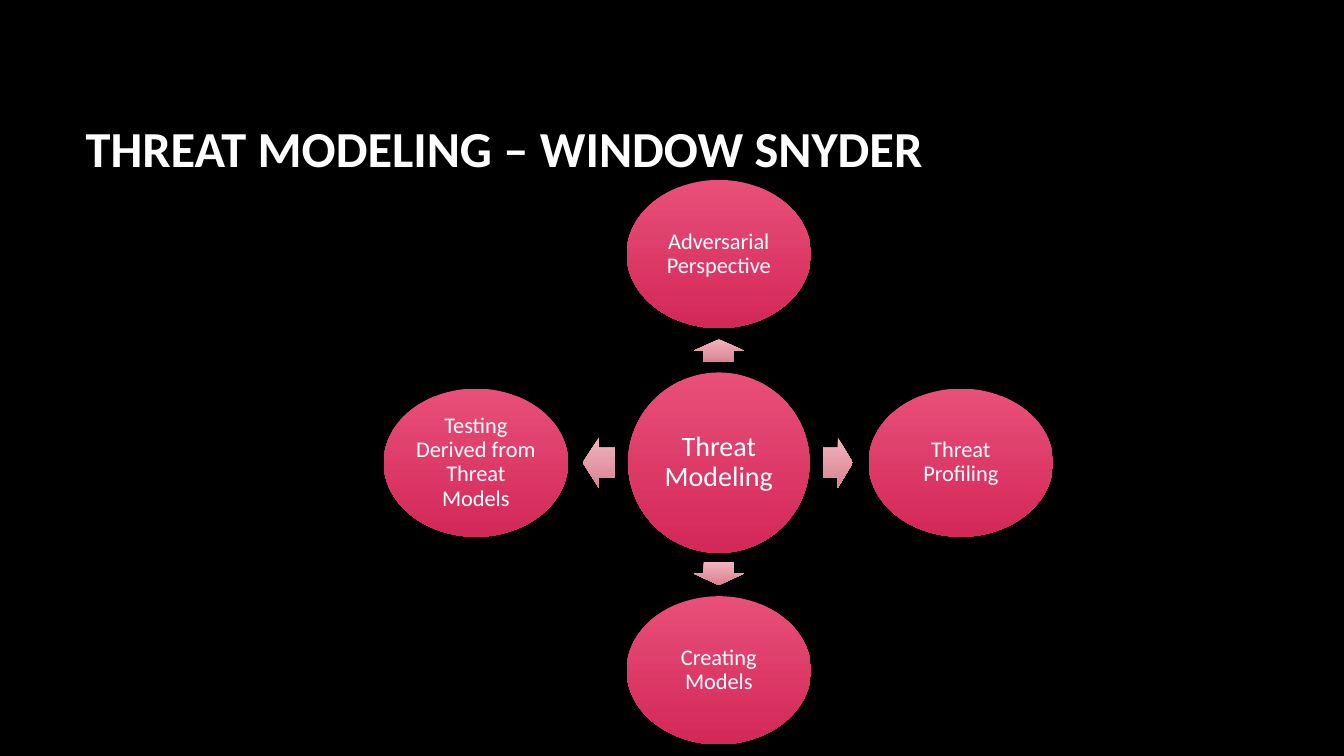
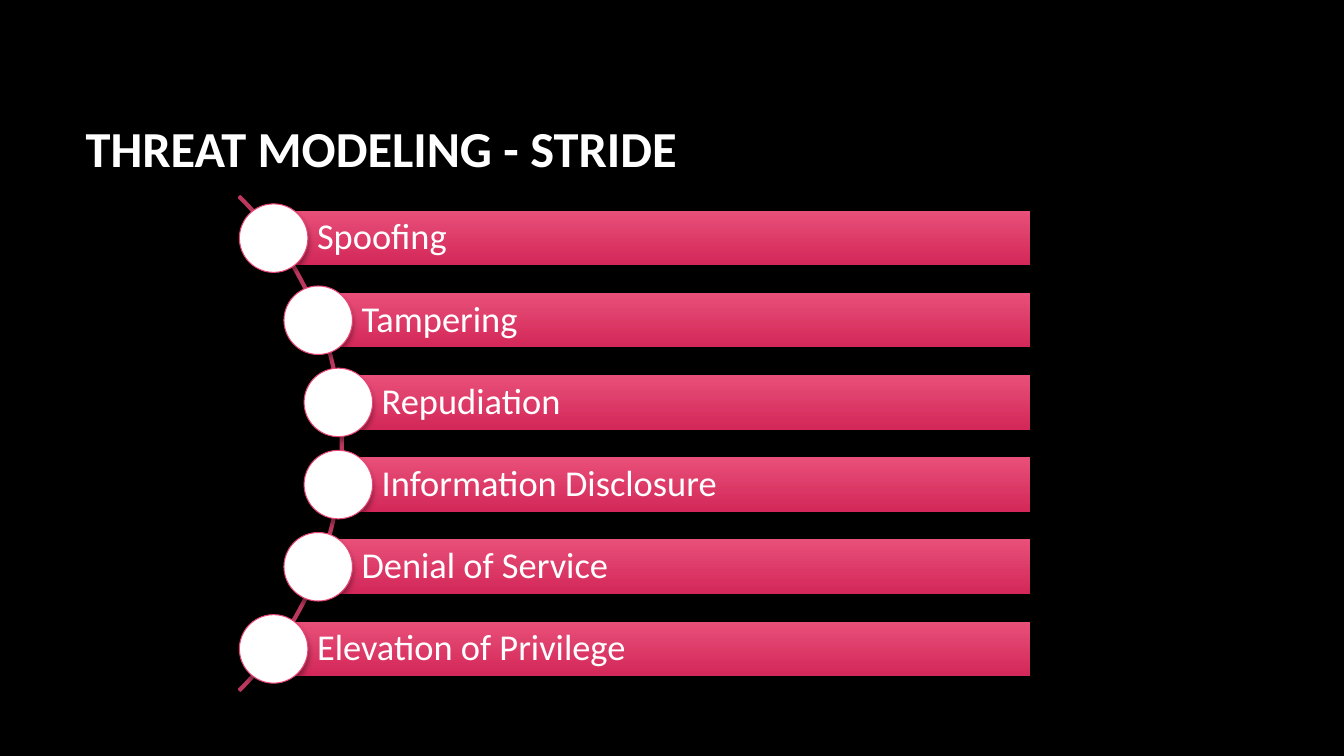
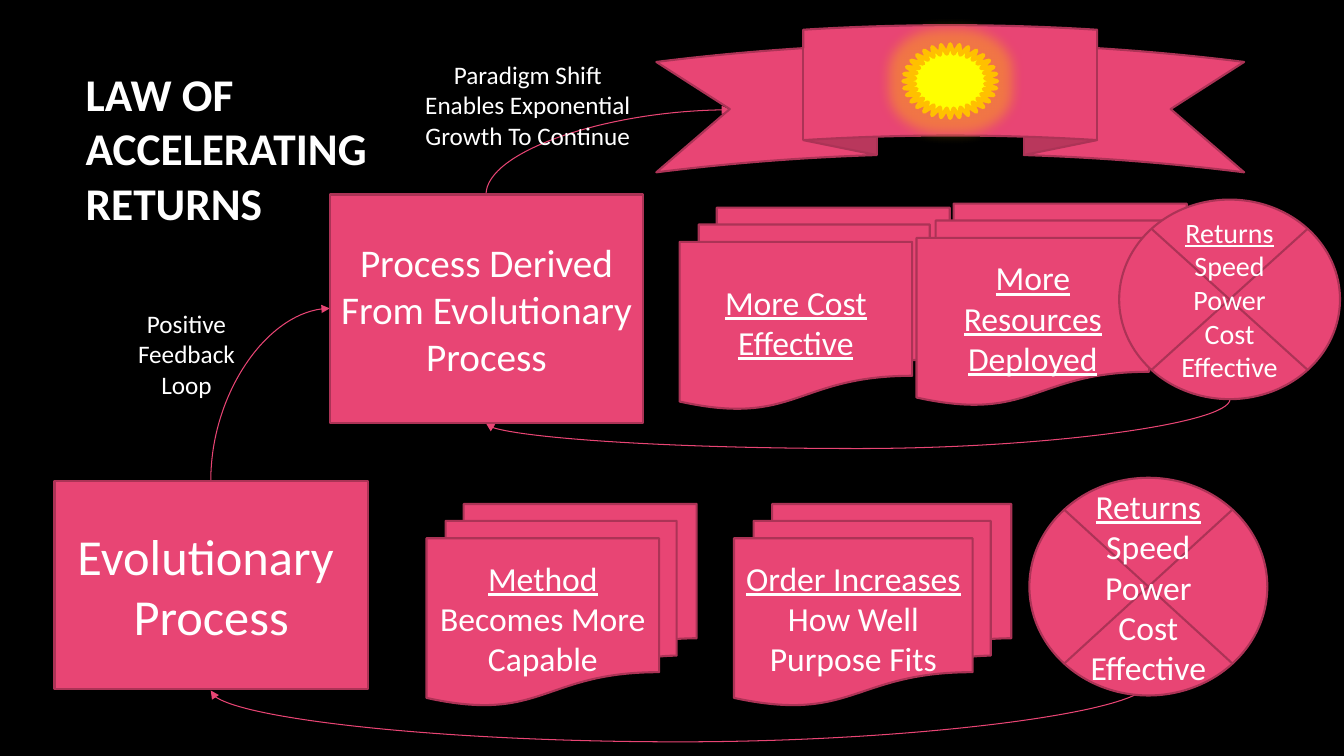
from math import sqrt

from lxml.etree import SubElement
from pptx import Presentation
from pptx.dml.color import RGBColor
from pptx.enum.shapes import MSO_CONNECTOR, MSO_SHAPE
from pptx.enum.text import MSO_ANCHOR, MSO_AUTO_SIZE, PP_ALIGN
from pptx.oxml.ns import qn
from pptx.util import Inches, Pt

FONT = "Calibri"
COLORS = {
    "background": "000000",
    "text": "FFFFFF",
    "pink": "E84574",
    "outline": "AC3356",
    "arc": "BA375D",
    "pink_top": "E84F79",
    "pink_bottom": "D32859",
    "arrow_top": "F2B3BE",
    "arrow_bottom": "D98392",
    "sun": "FFFF00",
    "sun_rim": "FFC000",
}
RGB = {name: RGBColor.from_string(value) for name, value in COLORS.items()}


def paint(shape, fills, line=None, width=1.5):
    shape.shadow.inherit = False
    if len(fills) == 2:
        shape.fill.gradient()
        shape.fill.gradient_angle = 270
        for stop, name in zip(shape.fill.gradient_stops, fills):
            stop.color.rgb = RGB[name]
    elif fills:
        shape.fill.solid()
        shape.fill.fore_color.rgb = RGB[fills[0]]
    else:
        shape.fill.background()
    if line:
        shape.line.color.rgb = RGB[line]
        shape.line.width = Pt(width)
    else:
        shape.line.fill.background()


def write(shape, lines, size, align=PP_ALIGN.CENTER, anchor=MSO_ANCHOR.MIDDLE, spacing=1.0):
    frame = shape.text_frame
    frame.word_wrap = True
    frame.vertical_anchor = anchor
    frame.text = "\n".join(lines)
    for paragraph in frame.paragraphs:
        paragraph.alignment = align
        paragraph.line_spacing = spacing
        paragraph.font.name = FONT
        paragraph.font.size = Pt(size)
        paragraph.font.color.rgb = RGB["text"]
    return frame


prs = Presentation()
prs.slide_width, prs.slide_height = Inches(13.33), Inches(7.5)
master_fill = prs.slide_master.background.fill
master_fill.solid()
master_fill.fore_color.rgb = RGB["background"]

layout = prs.slide_layouts[5]
layout_title = layout.placeholders[0]
layout_title.left, layout_title.top = Inches(0.75), Inches(0.67)
layout_title.width, layout_title.height = Inches(11.08), Inches(1.59)

slides = []
for heading, size in [
    ("THREAT MODELING – WINDOW SNYDER", 36),
    ("THREAT MODELING - STRIDE", 36),
    ("LAW OF\vACCELERATING\vRETURNS", 32.4),
]:
    slide = prs.slides.add_slide(layout)
    title_frame = write(slide.shapes.title, [heading], size, PP_ALIGN.LEFT)
    title_frame.auto_size = MSO_AUTO_SIZE.NONE
    title_frame.paragraphs[0].font.bold = True
    slides.append(slide)
snyder, stride, returns = slides

hub_x, hub_y = 7.13, 4.59
for label, dx, dy, width, height, size, inset in [
    ("Threat Modeling", 0, 0, 1.8, 1.79, 20, 0.03),
    ("Adversarial Perspective", 0, -2.07, 1.83, 1.47, 16, 0.02),
    ("Threat Profiling", 2.4, 0, 1.83, 1.47, 16, 0.02),
    ("Creating Models", 0, 2.06, 1.83, 1.47, 16, 0.02),
    ("Testing Derived from Threat Models", -2.41, 0, 1.83, 1.47, 16, 0.02),
]:
    bubble = snyder.shapes.add_shape(
        MSO_SHAPE.OVAL, Inches(hub_x + dx - width / 2), Inches(hub_y + dy - height / 2),
        Inches(width), Inches(height))
    paint(bubble, ["pink_top", "pink_bottom"])
    frame = write(bubble, [label], size, spacing=0.9)
    frame.margin_left = frame.margin_right = Inches(inset)
    frame.margin_top = frame.margin_bottom = Inches(inset)

for kind, dx, dy, width, height in [
    (MSO_SHAPE.UP_ARROW, 0, -1.11, 0.5, 0.23),
    (MSO_SHAPE.RIGHT_ARROW, 1.18, 0, 0.3, 0.5),
    (MSO_SHAPE.DOWN_ARROW, 0, 1.1, 0.5, 0.23),
    (MSO_SHAPE.LEFT_ARROW, -1.19, 0, 0.32, 0.5),
]:
    arrow = snyder.shapes.add_shape(
        kind, Inches(hub_x + dx - width / 2), Inches(hub_y + dy - height / 2),
        Inches(width), Inches(height))
    arrow.adjustments[0], arrow.adjustments[1] = 0.6, 0.5
    paint(arrow, ["arrow_top", "arrow_bottom"])

arc_x, arc_y, arc_radius = -0.07, 4.4, 3.47
arc = stride.shapes.add_shape(
    MSO_SHAPE.BLOCK_ARC, Inches(arc_x - arc_radius), Inches(arc_y - arc_radius),
    Inches(2 * arc_radius), Inches(2 * arc_radius))
for index, value in enumerate([189, 27, 0.003]):
    arc.adjustments[index] = value
paint(arc, [], "arc")

threats = ["Spoofing", "Tampering", "Repudiation", "Information Disclosure",
           "Denial of Service", "Elevation of Privilege"]
pitch, bar_height, bar_right, knob_size, knob_radius = 0.815, 0.54, 10.22, 0.68, 3.45
for row, threat in enumerate(threats):
    dy = (row - (len(threats) - 1) / 2) * pitch
    bar_left = arc_x + sqrt(knob_radius ** 2 - dy ** 2)
    bar = stride.shapes.add_shape(
        MSO_SHAPE.RECTANGLE, Inches(bar_left), Inches(arc_y + dy - bar_height / 2),
        Inches(bar_right - bar_left), Inches(bar_height))
    paint(bar, ["pink_top", "pink_bottom"])
    frame = write(bar, [threat], 26, PP_ALIGN.LEFT, spacing=0.9)
    frame.margin_left = Inches(0.43)
    frame.margin_top = frame.margin_right = frame.margin_bottom = Inches(0.07)

    knob = stride.shapes.add_shape(
        MSO_SHAPE.OVAL, Inches(bar_left - knob_size / 2), Inches(arc_y + dy - knob_size / 2),
        Inches(knob_size), Inches(knob_size))
    paint(knob, ["text"], "pink", 0.75)
    shadow = SubElement(knob._element.spPr.find(qn("a:effectLst")), qn("a:outerShdw"),
                        blurRad=str(Pt(4)), dist=str(Pt(3)), dir="5400000", rotWithShape="0")
    shadow_color = SubElement(shadow, qn("a:srgbClr"), val=COLORS["background"])
    SubElement(shadow_color, qn("a:alpha"), val="35000")

for start_x, start_y, end_x, end_y, drop in [
    (11.39, 6.77, 2.09, 6.85, 0.59),
    (2.09, 4.77, 3.27, 3.06, None),
    (12.2, 3.96, 4.82, 4.2, 0.49),
    (4.82, 1.93, 7.24, 1.09, None),
]:
    mid_x, mid_y = (start_x + end_x) / 2, (start_y + end_y) / 2
    half_x, half_y = (end_x - start_x) / 2, (end_y - start_y) / 2
    curve = returns.shapes.add_connector(
        MSO_CONNECTOR.CURVE, Inches(mid_x - half_y), Inches(mid_y + half_x),
        Inches(mid_x + half_y), Inches(mid_y - half_x))
    curve.line.color.rgb = RGB["pink"]
    curve.line.width = Pt(0.75)
    properties = curve._element.spPr
    properties.find(qn("a:xfrm")).set("rot", "5400000")
    geometry = properties.find(qn("a:prstGeom"))
    if drop:
        SubElement(geometry.find(qn("a:avLst")), qn("a:gd"), name="adj1",
                   fmla=f"val {round(drop / (end_y - start_y) * 100000)}")
    else:
        geometry.set("prst", "curvedConnector2")
    SubElement(properties.find(qn("a:ln")), qn("a:tailEnd"), type="triangle")
    SubElement(properties, qn("a:effectLst"))

process = MSO_SHAPE.FLOWCHART_PROCESS
documents = MSO_SHAPE.FLOWCHART_MULTIDOCUMENT
junction = MSO_SHAPE.FLOWCHART_SUMMING_JUNCTION
gains = ["Returns", "Speed", "Power", "Cost Effective"]
for kind, left, top, width, height, size, lines in [
    (process, 0.54, 4.77, 3.11, 2.07, 36, ["Evolutionary ", "Process"]),
    (documents, 4.23, 5, 2.68, 2, 24, ["Method", "Becomes More Capable"]),
    (documents, 7.28, 5, 2.75, 2, 24, ["Order Increases", "How Well Purpose Fits"]),
    (process, 3.27, 1.93, 3.11, 2.27, 28, ["Process Derived From Evolutionary Process"]),
    (documents, 6.74, 2.06, 2.68, 2, 24, ["More Cost Effective"]),
    (documents, 9.09, 2.02, 2.68, 2, 24, ["More Resources Deployed"]),
    (junction, 10.21, 4.74, 2.36, 2.16, 24, gains),
    (junction, 11.1, 1.98, 2.19, 1.98, 20, gains),
]:
    step = returns.shapes.add_shape(kind, Inches(left), Inches(top), Inches(width), Inches(height))
    paint(step, ["pink"], "outline")
    frame = write(step, lines, size)
    if kind != process:
        frame.paragraphs[0].font.underline = True

for note, left, top, width in [
    ("Positive Feedback Loop", 1, 3.01, 1.7),
    ("Paradigm Shift Enables Exponential Growth To Continue", 4.11, 0.54, 2.25),
]:
    caption = returns.shapes.add_textbox(Inches(left), Inches(top), Inches(width), Inches(1.01))
    write(caption, [note], 18, anchor=MSO_ANCHOR.TOP)

ribbon = returns.shapes.add_shape(
    MSO_SHAPE.CURVED_UP_RIBBON, Inches(6.51), Inches(0.25), Inches(5.83), Inches(1.46))
paint(ribbon, ["pink"], "outline")
sun = returns.shapes.add_shape(
    MSO_SHAPE.STAR_32_POINT, Inches(8.96), Inches(0.44), Inches(0.93), Inches(0.73))
paint(sun, ["sun"], "sun_rim", 3)
glow = SubElement(sun._element.spPr.find(qn("a:effectLst")), qn("a:glow"), rad=str(Pt(18)))
glow_color = SubElement(glow, qn("a:srgbClr"), val=COLORS["sun_rim"])
SubElement(glow_color, qn("a:alpha"), val="40000")

prs.save("out.pptx")
